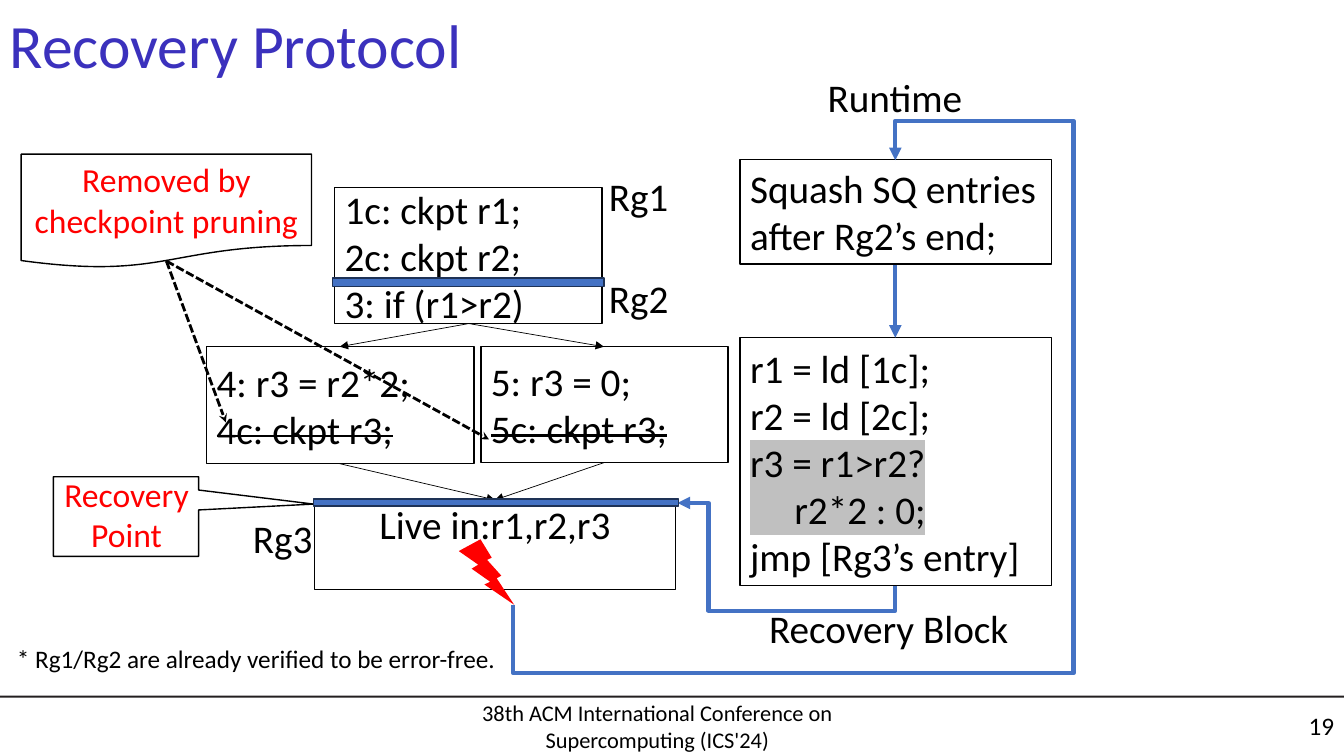
from dataclasses import dataclass

from lxml.etree import SubElement
from pptx import Presentation
from pptx.dml.color import RGBColor
from pptx.enum.dml import MSO_LINE
from pptx.enum.shapes import MSO_CONNECTOR, MSO_SHAPE
from pptx.enum.text import MSO_ANCHOR, PP_ALIGN
from pptx.oxml.ns import qn
from pptx.util import Inches, Pt

BLACK, WHITE, RED, BLUE = "000000", "FFFFFF", "FF0000", "4472C4"
NAVY, INDIGO, GRAY, RULE = "1E3256", "3B31BD", "C0C0C0", "231F20"
LEFT, CENTER, RIGHT = PP_ALIGN.LEFT, PP_ALIGN.CENTER, PP_ALIGN.RIGHT
TOP, MIDDLE = MSO_ANCHOR.TOP, MSO_ANCHOR.MIDDLE
Box = tuple[float, float, float, float]
Point = tuple[float, float]


@dataclass
class CodeBox:
    at: Box
    lines: list[str]
    struck: tuple[int, ...] = ()
    shaded: tuple[int, ...] = ()
    align: PP_ALIGN = LEFT
    anchor: MSO_ANCHOR = MIDDLE
    top_inset: float = 0.05


@dataclass
class Label:
    at: Box
    text: str
    size: float = 28
    color: str = BLACK
    align: PP_ALIGN = LEFT
    anchor: MSO_ANCHOR = TOP
    wrap: bool = True


@dataclass
class Arrow:
    start: Point
    end: Point
    color: str = BLACK
    width: float = 0.5
    head: str = "triangle"
    dashed: bool = False


@dataclass
class Elbow:
    at: Box  # frame before its quarter turn
    preset: str
    flips: tuple[str, ...]
    bends: tuple[float, ...]


FLOW_BOXES = [
    CodeBox((3.32, 1.86, 2.65, 1.35), ["1c: ckpt r1;", "2c: ckpt r2;", "3: if (r1>r2)"]),
    CodeBox((2.05, 3.44, 2.65, 1.16), ["4: r3 = r2*2;", "4c: ckpt r3;"], struck=(1,)),
    CodeBox((4.77, 3.44, 2.45, 1.15), ["5: r3 = 0;", "5c: ckpt r3;"], struck=(1,)),
    CodeBox((3.12, 4.96, 3.58, 0.89), ["Live in:r1,r2,r3"], align=CENTER, anchor=TOP, top_inset=0),
    CodeBox((7.34, 3.35, 3.09, 2.46),
            ["r1 = ld [1c];", "r2 = ld [2c];", "r3 = r1>r2?", "     r2*2 : 0;", "jmp [Rg3’s entry]"],
            shaded=(2, 3)),
    CodeBox((7.34, 1.58, 3.09, 1.04), ["Squash SQ entries after Rg2’s end;"], anchor=TOP),
]
LABELS = [
    Label((4.13, 6.97, 4.78, 0.46), "38th ACM International Conference on Supercomputing (ICS'24)",
          16, align=CENTER, anchor=MIDDLE),
    Label((12.37, 7, 0.96, 0.4), "19", 18, align=RIGHT, anchor=MIDDLE),
    Label((0, 0, 5.4, 0.87), "Recovery Protocol", 44, INDIGO, anchor=MIDDLE),
    Label((5.94, 1.66, 0.8, 0.57), "Rg1", wrap=False),
    Label((5.94, 2.67, 0.88, 0.57), "Rg2"),
    Label((2.41, 5.05, 0.85, 0.57), "Rg3"),
    Label((7.53, 5.95, 2.75, 0.57), "Recovery Block"),
    Label((8.11, 0.68, 1.54, 0.57), "Runtime", wrap=False),
    Label((0.07, 6.33, 4.98, 0.4), "* Rg1/Rg2 are already verified to be error-free.", 18, wrap=False),
    Label((0.51, 4.65, 1.49, 0.91), "Recovery\nPoint", 24, RED, CENTER, wrap=False),
]
BRANCH, LEFT_X, RIGHT_X, JOIN, PRUNED = (4.65, 3.21), 3.37, 5.99, (4.91, 4.96), (1.65, 2.59)
ARROWS = [
    Arrow(BRANCH, (LEFT_X, 3.44)),
    Arrow(BRANCH, (RIGHT_X, 3.44)),
    Arrow((LEFT_X, 4.6), JOIN),
    Arrow((RIGHT_X, 4.59), JOIN),
    Arrow(PRUNED, (2.24, 4.19), width=2, head="stealth", dashed=True),
    Arrow(PRUNED, (4.85, 4.36), width=2, head="stealth", dashed=True),
    Arrow((8.88, 2.63), (8.88, 3.35), BLUE, 3),
]
ELBOWS = [
    Elbow((4.78, 1.9, 4.41, 3.79), "bentConnector5", ("flipH", "flipV"), (-0.154, 1.466, 1.089)),
    Elbow((7.39, 4.32, 0.82, 2.16), "bentConnector4", ("flipH",), (-0.303, 0.858)),
]
REGION_BARS = [(3.3, 2.76, 2.69, 0.08), (3.11, 4.95, 3.62, 0.07)]


def rgb(color: str) -> RGBColor:
    return RGBColor.from_string(color)


def write(shape, text: str, *, size: float = 28, color: str = BLACK, align=LEFT, anchor=TOP,
          wrap: bool = True, top_inset: float = 0.05, struck=(), shaded=()) -> None:
    frame = shape.text_frame
    frame.word_wrap = wrap
    frame.vertical_anchor = anchor
    frame.margin_top = Inches(top_inset)
    for index, line in enumerate(text.split("\n")):
        paragraph = frame.add_paragraph() if index else frame.paragraphs[0]
        paragraph.alignment = align
        run = paragraph.add_run()
        run.text = line
        run.font.size = Pt(size)
        run.font.color.rgb = rgb(color)
        properties = run.font._element
        if index in struck:
            properties.set("strike", "sngStrike")
        if index in shaded:
            highlight = SubElement(properties, qn("a:highlight"))
            SubElement(highlight, qn("a:srgbClr")).set("val", GRAY)
        run.font.name = "Calibri"


def add_box(slide, at: Box, kind=MSO_SHAPE.RECTANGLE, fill: str | None = None,
            outline: str | None = BLACK):
    shape = slide.shapes.add_shape(kind, *map(Inches, at))
    shape.shadow.inherit = False
    if fill:
        shape.fill.solid()
        shape.fill.fore_color.rgb = rgb(fill)
    else:
        shape.fill.background()
    if outline:
        shape.line.color.rgb = rgb(outline)
        shape.line.width = Pt(1)
    else:
        shape.line.fill.background()
    return shape


def add_line(slide, arrow: Arrow, kind=MSO_CONNECTOR.STRAIGHT):
    connector = slide.shapes.add_connector(kind, *map(Inches, arrow.start + arrow.end))
    connector.line.color.rgb = rgb(arrow.color)
    connector.line.width = Pt(arrow.width)
    if arrow.dashed:
        connector.line.dash_style = MSO_LINE.SQUARE_DOT
    properties = connector._element.spPr
    SubElement(properties.find(qn("a:ln")), qn("a:tailEnd")).set("type", arrow.head)
    SubElement(properties, qn("a:effectLst"))
    return connector


def add_elbow(slide, elbow: Elbow) -> None:
    left, top, width, height = elbow.at
    arrow = Arrow((left, top), (left + width, top + height), BLUE, 3)
    properties = add_line(slide, arrow, MSO_CONNECTOR.ELBOW)._element.spPr
    frame = properties.find(qn("a:xfrm"))
    frame.set("rot", str(90 * 60000))
    for flip in elbow.flips:
        frame.set(flip, "1")
    geometry = properties.find(qn("a:prstGeom"))
    geometry.set("prst", elbow.preset)
    guides = geometry.find(qn("a:avLst"))
    if guides is None:
        guides = SubElement(geometry, qn("a:avLst"))
    for number, bend in enumerate(elbow.bends, 1):
        guide = SubElement(guides, qn("a:gd"))
        guide.set("name", f"adj{number}")
        guide.set("fmla", f"val {round(bend * 100000)}")


def main() -> None:
    presentation = Presentation()
    presentation.slide_width, presentation.slide_height = Inches(13.33), Inches(7.5)
    slide = presentation.slides.add_slide(presentation.slide_layouts[6])

    # Footer rule and code boxes
    add_box(slide, (0, 6.9, 13.33, 0.02), fill=RULE, outline=None)
    for box in FLOW_BOXES:
        write(add_box(slide, box.at, fill=WHITE), "\n".join(box.lines), align=box.align,
              anchor=box.anchor, top_inset=box.top_inset, struck=box.struck, shaded=box.shaded)

    # Callouts and the error bolt
    note = add_box(slide, (0.21, 1.53, 2.88, 1.13), MSO_SHAPE.FLOWCHART_DOCUMENT)
    write(note, "Removed by checkpoint pruning", size=24, color=RED, align=CENTER)
    callout = add_box(slide, (0.53, 4.73, 1.44, 0.79), MSO_SHAPE.RECTANGULAR_CALLOUT)
    callout.adjustments[0], callout.adjustments[1] = 1.292, -0.157
    add_box(slide, (4.55, 5.35, 0.55, 0.65), MSO_SHAPE.LIGHTNING_BOLT, RED, None)

    # Control flow
    for arrow in ARROWS:
        add_line(slide, arrow)
    for elbow in ELBOWS:
        add_elbow(slide, elbow)

    # Region boundaries and labels
    for bar in REGION_BARS:
        add_box(slide, bar, fill=BLUE, outline=NAVY)
    for label in LABELS:
        write(slide.shapes.add_textbox(*map(Inches, label.at)), label.text, size=label.size,
              color=label.color, align=label.align, anchor=label.anchor, wrap=label.wrap)
    presentation.save("out.pptx")


if __name__ == "__main__":
    main()
